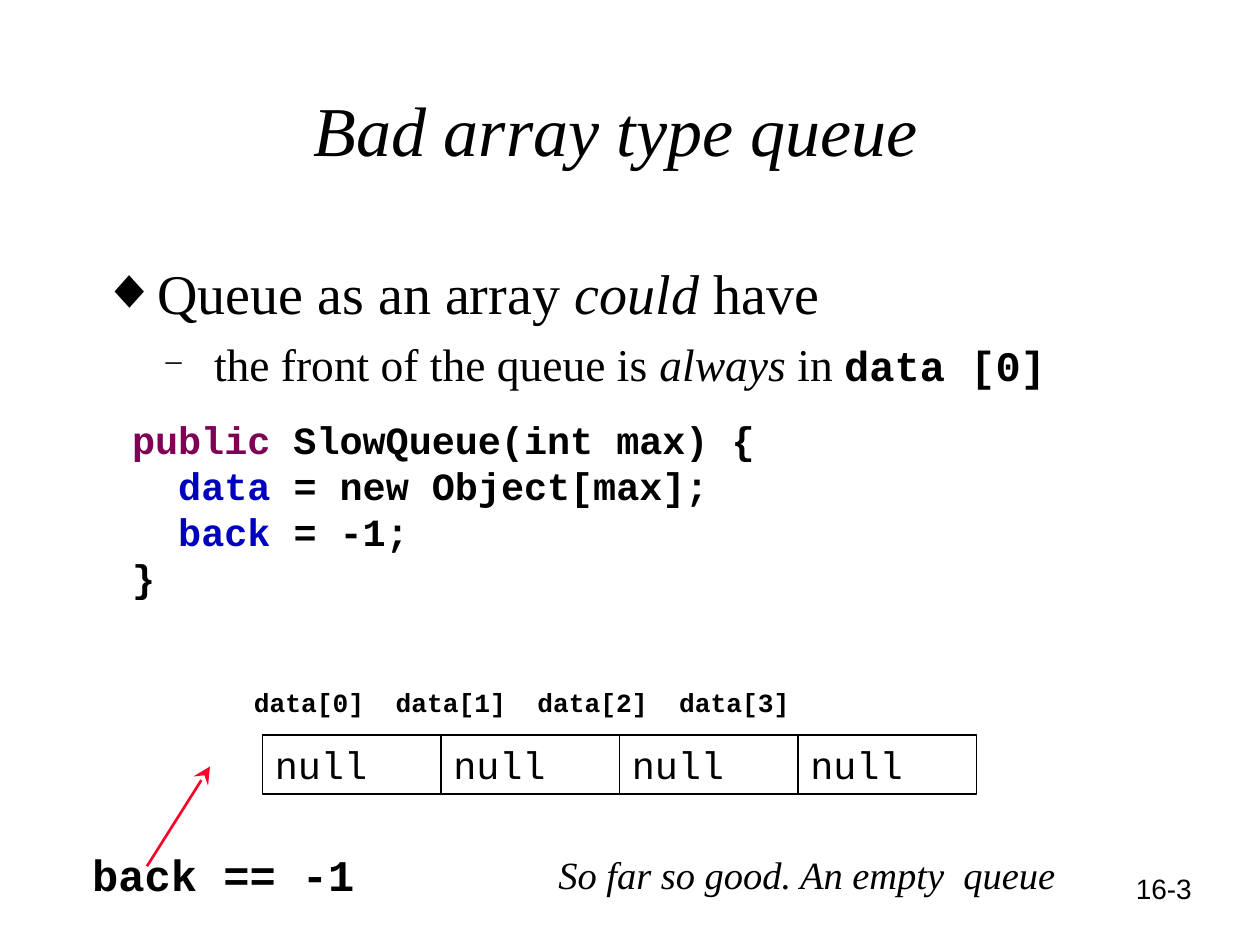
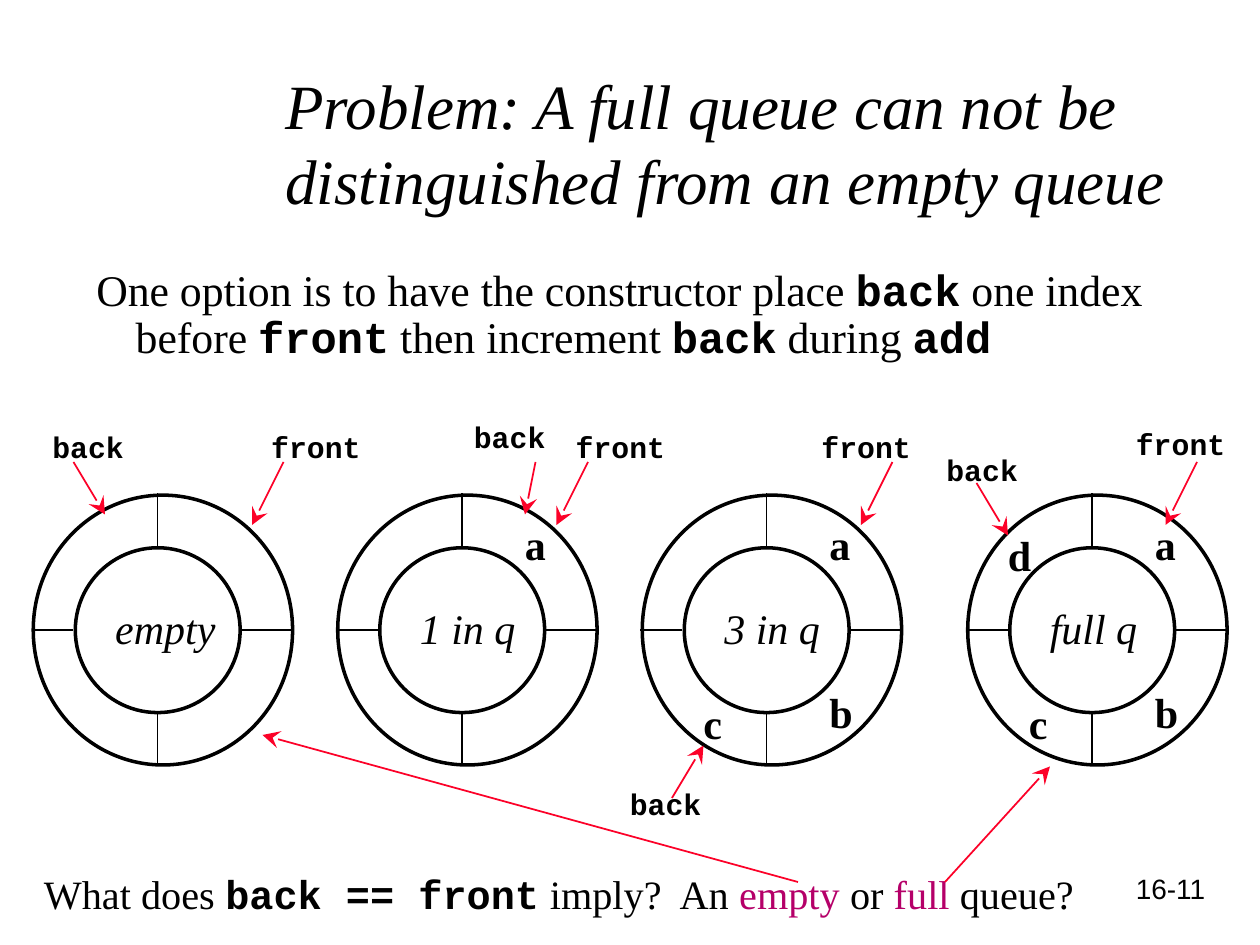
from dataclasses import dataclass
from typing import NamedTuple, Optional

from lxml.etree import SubElement
from pptx import Presentation
from pptx.dml.color import RGBColor
from pptx.enum.shapes import MSO_CONNECTOR, MSO_SHAPE
from pptx.enum.text import MSO_ANCHOR, MSO_AUTO_SIZE, PP_ALIGN
from pptx.oxml.ns import qn
from pptx.util import Emu, Inches, Pt

COLUMNS, ROWS = 120, 90  # grid laid over each slide
WIDTH, HEIGHT = Inches(10), Inches(7.5)
UNIT = WIDTH // COLUMNS  # columns and rows are equally large
COLORS = {"ink": "000000", "paper": "FFFFFF", "arrow": "FC0128",
          "keyword": "7F0055", "field": "0000C0", "accent": "B50069"}
LOOKS = {
    "serif": {"name": "Times New Roman"},
    "italic": {"name": "Times New Roman", "italic": True},
    "strong": {"name": "Times New Roman", "bold": True},
    "mono": {"name": "Courier New"},
    "code": {"name": "Courier New", "bold": True},
    "footer": {"name": "Arial"},
}
MARGINS = {"margin_left": Inches(0.1), "margin_right": Inches(0.1),
           "margin_top": Inches(0.05), "margin_bottom": Inches(0.05)}
MONO_ADVANCE = 0.6  # character width as a share of the font size


class Area(NamedTuple):
    column: float
    row: float
    columns: float
    rows: float


class Span(NamedTuple):
    text: str
    look: str = "serif"
    color: str = "ink"
    size: Optional[float] = None


class Bullet(NamedTuple):
    mark: str
    percent: int = 100


@dataclass
class Para:
    """Paragraph; left and first are indents in columns."""
    spans: list[Span]
    size: float
    left: float = 0
    first: float = 0
    before: float = 0
    spacing: float = 1.0
    bullet: Optional[Bullet] = None


@dataclass
class Pointer:
    """Name with an arrow; columns count from the ring's centre."""
    name: str
    column: float
    row: float
    start: tuple[float, float]
    end: tuple[float, float]


@dataclass
class Ring:
    column: float
    caption: str
    caption_columns: float
    items: str
    pointers: list[Pointer]


def grid(count: float) -> Emu:
    return Emu(round(UNIT * count))


def rgb(color: str) -> RGBColor:
    return RGBColor.from_string(COLORS[color])


def assign(target, values: dict) -> None:
    for name, value in values.items():
        setattr(target, name, value)


def fill_paragraph(para, content: Para) -> None:
    assign(para, {"alignment": PP_ALIGN.LEFT, "space_before": Pt(content.before),
                  "line_spacing": content.spacing})
    properties = para._p.get_or_add_pPr()
    properties.set("marL", str(grid(content.left)))
    properties.set("indent", str(grid(content.first)))
    if content.bullet:
        tint = SubElement(properties, qn("a:buClr"))
        SubElement(tint, qn("a:srgbClr"), val=COLORS["ink"])
        SubElement(properties, qn("a:buSzPct"), val=str(content.bullet.percent * 1000))
        SubElement(properties, qn("a:buFont"), typeface=LOOKS["serif"]["name"])
        SubElement(properties, qn("a:buChar"), char=content.bullet.mark)
    for span in content.spans:
        run = para.add_run()
        run.text = span.text
        assign(run.font, {**LOOKS[span.look], "size": Pt(span.size or content.size)})
        run.font.color.rgb = rgb(span.color)


def fill_frame(frame, paras: list[Para], wrap: bool = True, anchor=MSO_ANCHOR.TOP) -> None:
    assign(frame, {**MARGINS, "word_wrap": wrap, "vertical_anchor": anchor,
                   "auto_size": MSO_AUTO_SIZE.NONE})
    for index, content in enumerate(paras):
        fill_paragraph(frame.add_paragraph() if index else frame.paragraphs[0], content)


def add_text(page, area: Area, paras: list[Para], wrap: bool = True,
             anchor=MSO_ANCHOR.TOP) -> None:
    box = page.shapes.add_textbox(*map(grid, area))
    fill_frame(box.text_frame, paras, wrap, anchor)


def add_code_label(page, text: str, column: float, row: float, size: float) -> None:
    """Unwrapped bold code in a box as wide as its characters."""
    columns = (len(text) * size * MONO_ADVANCE / 72 + 0.2) * 12
    add_text(page, Area(column, row, columns, size * 0.27),
             [Para([Span(text, "code")], size)], wrap=False)


def add_outline(page, kind, area: Area, weight: float):
    shape = page.shapes.add_shape(kind, *map(grid, area))
    shape.shadow.inherit = False
    shape.fill.background()
    shape.line.color.rgb = rgb("ink")
    shape.line.width = Pt(weight)
    return shape


def add_line(page, start: tuple, end: tuple, color: str = "ink",
             weight: float = 1, arrow: bool = False) -> None:
    line = page.shapes.add_connector(MSO_CONNECTOR.STRAIGHT, *map(grid, (*start, *end)))
    line.line.color.rgb = rgb(color)
    line.line.width = Pt(weight)
    properties = line._element.spPr
    if arrow:
        SubElement(properties.find(qn("a:ln")), qn("a:tailEnd"),
                   type="stealth", w="lg", len="lg")
    SubElement(properties, qn("a:effectLst"))


def add_arrow(page, start: tuple, end: tuple, weight: float = 1) -> None:
    add_line(page, start, end, "arrow", weight, arrow=True)


def add_page(deck, title: str, area: Area, size: float, number: str, indent: float = 0):
    """Blank page with the shared title style and page number."""
    page = deck.slides.add_slide(deck.slide_layouts[6])
    page.background.fill.solid()
    page.background.fill.fore_color.rgb = rgb("paper")
    add_text(page, Area(107, 82.4, 11, 4.4), [Para([Span(number, "footer")], 16)])
    add_text(page, area, [Para([Span(title, "italic")], size, left=indent)],
             anchor=MSO_ANCHOR.MIDDLE)
    return page


CENTER_ROW = 60
SPOKES = [((0, -8), (0, -13)), ((-8, 0), (-12, 0)), ((0, 8), (0, 13)), ((8, 0), (13, 0))]
ITEM_OFFSETS = {"a": (4.8, -11.2), "b": (4.8, 4.8), "c": (-7.2, 5.8), "d": (-9.2, -10.2)}


def front(column: float, row: float = 40.25, tip: float = 9) -> Pointer:
    return Pointer("front", column, row, (tip + 3, 44), (tip, 50))


RINGS = [
    Ring(15, "empty", 12, "", [front(9.65), Pointer("back", -11.2, 40.25, (-8, 44), (-5, 49))]),
    Ring(44, "1 in q", 11.5, "a",
         [front(9.65), Pointer("back", -0.05, 39.3, (7, 44), (6, 49))]),
    Ring(73, "3 in q", 11.5, "abc",
         [front(4.05), Pointer("back", -14.2, 74.25, (-9, 76), (-6, 71))]),
    Ring(104, "full q", 10.8, "abcd",
         [front(3, 40, tip=7), Pointer("back", -15.05, 42.4, (-11, 46), (-8, 51))]),
]


def add_ring(page, ring: Ring) -> None:
    for area in (Area(-7.83, -7.83, 15.7, 15.7), Area(-11.83, -12.84, 24.7, 25.7)):
        placed = area._replace(column=ring.column + area.column, row=CENTER_ROW + area.row)
        add_outline(page, MSO_SHAPE.OVAL, placed, 2)
    for spoke in SPOKES:
        add_line(page, *((ring.column + x, CENTER_ROW + y) for x, y in spoke))
    add_text(page, Area(ring.column - 5.2, 56.8, ring.caption_columns, 6),
             [Para([Span(ring.caption, "italic")], 24)], wrap=False)
    for item in ring.items:
        x, y = ITEM_OFFSETS[item]
        add_text(page, Area(ring.column + x, CENTER_ROW + y, 4.5, 6),
                 [Para([Span(item, "strong")], 24)], wrap=False)
    for pointer in ring.pointers:
        add_code_label(page, pointer.name, ring.column + pointer.column, pointer.row, 17)
        add_arrow(page, *((ring.column + x, y) for x, y in (pointer.start, pointer.end)))


def build_array_page(deck) -> None:
    page = add_page(deck, "Bad array type queue", Area(4, 3.5, 112, 17.5), 40, "16-3", 24.7)
    code_lines = [
        [Span("public", "code", "keyword"), Span(" SlowQueue(int max) {", "code")],
        [Span("  ", "code"), Span("data", "code", "field"),
         Span(" = new Object[max];", "code")],
        [Span("  ", "code"), Span("back", "code", "field"), Span(" = -1;", "code")],
        [Span("}", "code")],
    ]
    add_text(page, Area(7, 24, 106, 54), [
        Para([Span("Queue as an array "), Span("could ", "italic"), Span("have")], 32,
             left=5.2, first=-3.7, bullet=Bullet("◆")),
        Para([Span("the front of the queue is "), Span("always ", "italic"), Span("in "),
              Span("data [0]", "code", size=24)], 26,
             left=12.2, first=-4.6, before=6, bullet=Bullet("─", 50)),
        *(Para(spans, 22, left=4.4, before=0 if index else 14.5)
          for index, spans in enumerate(code_lines)),
    ])

    for index in range(4):
        add_code_label(page, f"data[{index}]", 23 + 13.5 * index, 64.8, 15)
        cell = add_outline(page, MSO_SHAPE.RECTANGLE, Area(25 + 17 * index, 70, 17, 5.6), 1)
        fill_frame(cell.text_frame, [Para([Span("null", "mono")], 22)])

    add_code_label(page, "back == -1", 7.6, 80.1, 25)
    add_arrow(page, (14, 82.5), (20, 73), 1.5)
    add_text(page, Area(52, 80.5, 57, 5.6),
             [Para([Span("So far so good. An empty  queue", "italic")], 22)])


def build_ring_page(deck) -> None:
    page = add_page(deck, "Problem: A full queue can not be distinguished from an empty queue",
                    Area(26, 6, 93, 15), 36, "16-11")
    add_text(page, Area(2, 25, 115, 11), [Para([
        Span("One option is to have the constructor place "), Span("back", "code"),
        Span(" one index before "), Span("front", "code"),
        Span(" then increment "), Span("back", "code"),
        Span(" during "), Span("add", "code"),
    ], 25, left=9.75, first=-3.75, spacing=0.9)])
    for ring in RINGS:
        add_ring(page, ring)
    add_text(page, Area(3, 82.2, 116, 5.8), [Para([
        Span("What does "), Span("back == front", "code"), Span(" imply?  An "),
        Span("empty ", color="accent"), Span("or "),
        Span("full", color="accent"), Span(" queue?"),
    ], 23)])
    add_arrow(page, (76, 84), (25, 70))
    add_arrow(page, (90, 84), (100, 73))


def main() -> None:
    deck = Presentation()
    assign(deck, {"slide_width": WIDTH, "slide_height": HEIGHT})
    build_array_page(deck)
    build_ring_page(deck)
    deck.save("out.pptx")


if __name__ == "__main__":
    main()
